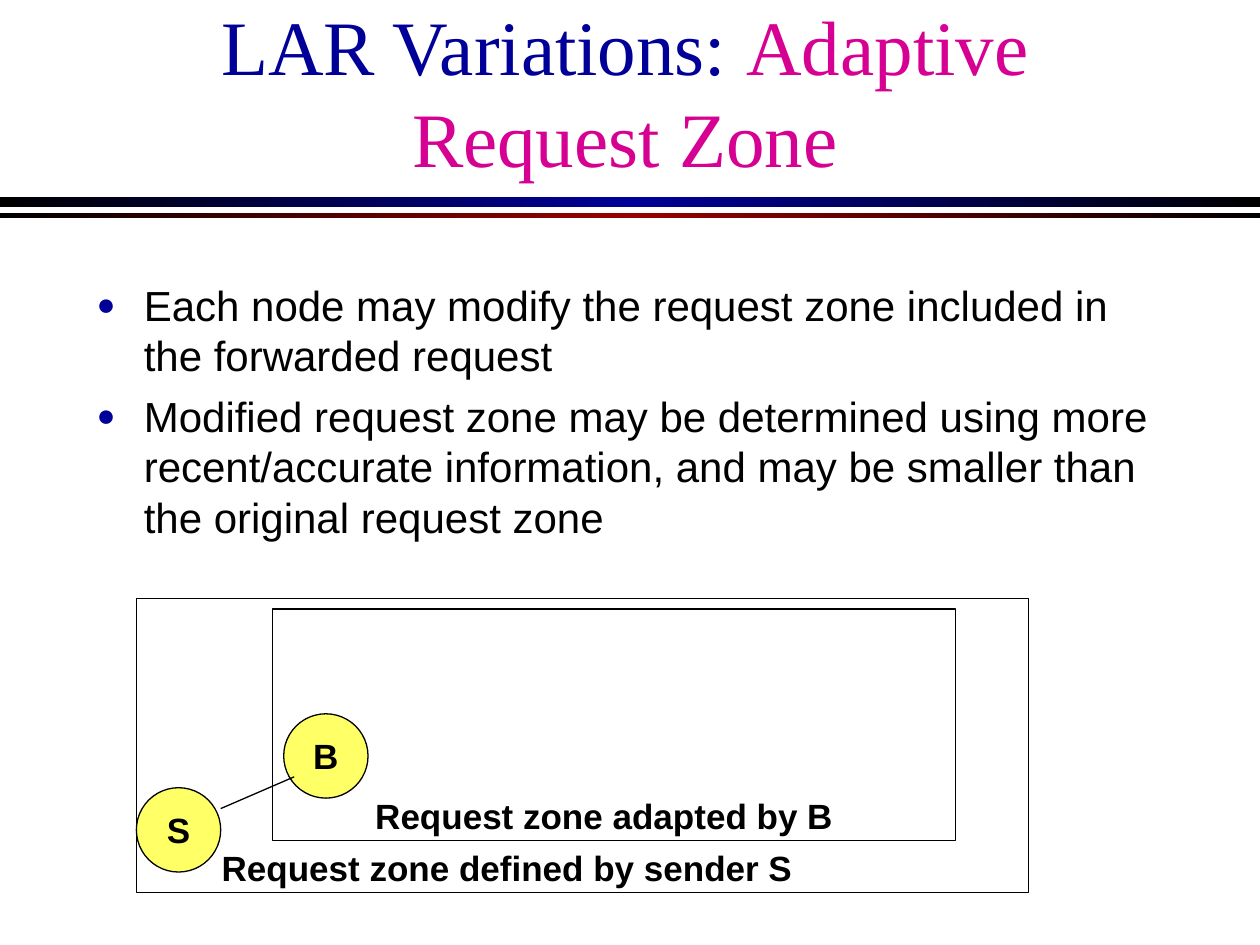
from copy import deepcopy

from lxml import etree
from pptx import Presentation
from pptx.dml.color import RGBColor
from pptx.enum.shapes import MSO_CONNECTOR, MSO_SHAPE
from pptx.enum.text import MSO_ANCHOR, PP_ALIGN
from pptx.oxml.ns import qn
from pptx.util import Cm, Pt

RECT, OVAL = MSO_SHAPE.RECTANGLE, MSO_SHAPE.OVAL
LINE = MSO_CONNECTOR.STRAIGHT
TOP, MIDDLE, BOTTOM = MSO_ANCHOR.TOP, MSO_ANCHOR.MIDDLE, MSO_ANCHOR.BOTTOM
LEFT, CENTER = PP_ALIGN.LEFT, PP_ALIGN.CENTER

BLACK = RGBColor(0x00, 0x00, 0x00)
NAVY = RGBColor(0x00, 0x00, 0x99)
RED = RGBColor(0x99, 0x00, 0x00)
PINK = RGBColor(0xD6, 0x00, 0x93)
YELLOW = RGBColor(0xFF, 0xFF, 0x66)

WIDE, HIGH = 25.4, 19.05
NODE = 1.7


class Board:
    """Holds the current slide and the style; all lengths are in cm."""

    sans, serif = "Arial", "Times New Roman"
    thin = Pt(0.75)

    def __init__(self, slide):
        self.shapes = slide.shapes

    def style(self, font, size, color=BLACK, bold=False, name=sans):
        font.name, font.size, font.bold = name, Pt(size), bold
        font.color.rgb = color

    def shape(self, kind, x, y, w, h, fill=None):
        item = self.shapes.add_shape(kind, Cm(x), Cm(y), Cm(w), Cm(h))
        item.shadow.inherit = False
        if fill is None:
            item.fill.background()
        else:
            item.fill.solid()
            item.fill.fore_color.rgb = fill
        item.line.color.rgb = BLACK
        item.line.width = self.thin
        return item

    def bar(self, y, h, color):
        """Full-width rule that fades from black to a colour and back."""
        item = self.shape(RECT, 0, y, WIDE, h)
        item.line.fill.background()
        item.fill.gradient()
        item.fill.gradient_angle = 0
        first, last = item.fill.gradient_stops
        first.color.rgb, last.color.rgb = BLACK, color
        last.position = 0.5
        stops = item._element.spPr.find(".//" + qn("a:gsLst"))
        end = deepcopy(stops[0])
        end.set("pos", "100000")
        stops.append(end)

    def box(self, x, y, w, h, anchor, wrap=True):
        frame = self.shapes.add_textbox(Cm(x), Cm(y), Cm(w), Cm(h)).text_frame
        frame.word_wrap = wrap
        frame.vertical_anchor = anchor
        return frame

    def title(self, x, y, w, h, parts):
        para = self.box(x, y, w, h, BOTTOM).paragraphs[0]
        para.alignment = CENTER
        for text, color in parts:
            run = para.add_run()
            run.text = text
            self.style(run.font, 44, color, name=self.serif)

    def bullets(self, x, y, w, h, items):
        frame = self.box(x, y, w, h, TOP)
        frame.text = "\n".join(items)
        for i, para in enumerate(frame.paragraphs):
            props = para._p.get_or_add_pPr()
            indent = Cm(0.95)
            props.set("marL", str(indent))
            props.set("indent", str(-indent))
            para.space_before = Pt(6 if i else 0)
            tint = etree.SubElement(props, qn("a:buClr"))
            etree.SubElement(tint, qn("a:srgbClr"), val=str(NAVY))
            etree.SubElement(props, qn("a:buSzPct"), val="75000")
            etree.SubElement(props, qn("a:buFont"), typeface=self.sans)
            etree.SubElement(props, qn("a:buChar"), char="●")
            self.style(para.runs[0].font, 24)

    def label(self, frame, text, align=CENTER):
        frame.text = text
        para = frame.paragraphs[0]
        para.alignment = align
        self.style(para.runs[0].font, 20, bold=True)

    def node(self, x, y, text):
        frame = self.shape(OVAL, x, y, NODE, NODE, YELLOW).text_frame
        frame.word_wrap = False
        frame.vertical_anchor = MIDDLE
        self.label(frame, text)

    def link(self, x1, y1, x2, y2):
        item = self.shapes.add_connector(LINE, Cm(x1), Cm(y1), Cm(x2), Cm(y2))
        item.line.color.rgb = BLACK
        item.line.width = self.thin
        etree.SubElement(item._element.spPr, qn("a:effectLst"))


def main():
    deck = Presentation()
    deck.slide_width, deck.slide_height = Cm(WIDE), Cm(HIGH)
    board = Board(deck.slides.add_slide(deck.slide_layouts[6]))

    board.bar(3.97, 0.2, NAVY)
    board.bar(4.29, 0.1, RED)
    board.title(1.7, 0.63, 21.8, 3.18, [
        ("LAR Variations: ", NAVY),
        ("Adaptive Request Zone", PINK),
    ])
    board.bullets(1.7, 5.5, 21.8, 11.43, [
        "Each node may modify the request zone included in "
        "the forwarded request",
        "Modified request zone may be determined using more "
        "recent/accurate information, and may be smaller than "
        "the original request zone",
    ])

    board.node(2.75, 15.88, "S")
    board.node(5.72, 14.39, "B")
    board.shape(RECT, 2.75, 12.06, 17.99, 5.93)
    board.link(4.45, 16.3, 5.93, 15.66)
    board.shape(RECT, 5.5, 12.28, 13.76, 4.66)
    inner = board.box(7.31, 15.88, 9.74, 1.11, MIDDLE, wrap=False)
    board.label(inner, "Request zone adapted by B")
    outer = board.box(4.22, 16.94, 12.01, 1.11, MIDDLE, wrap=False)
    board.label(outer, "Request zone defined by sender S", LEFT)

    deck.save("out.pptx")


if __name__ == "__main__":
    main()
